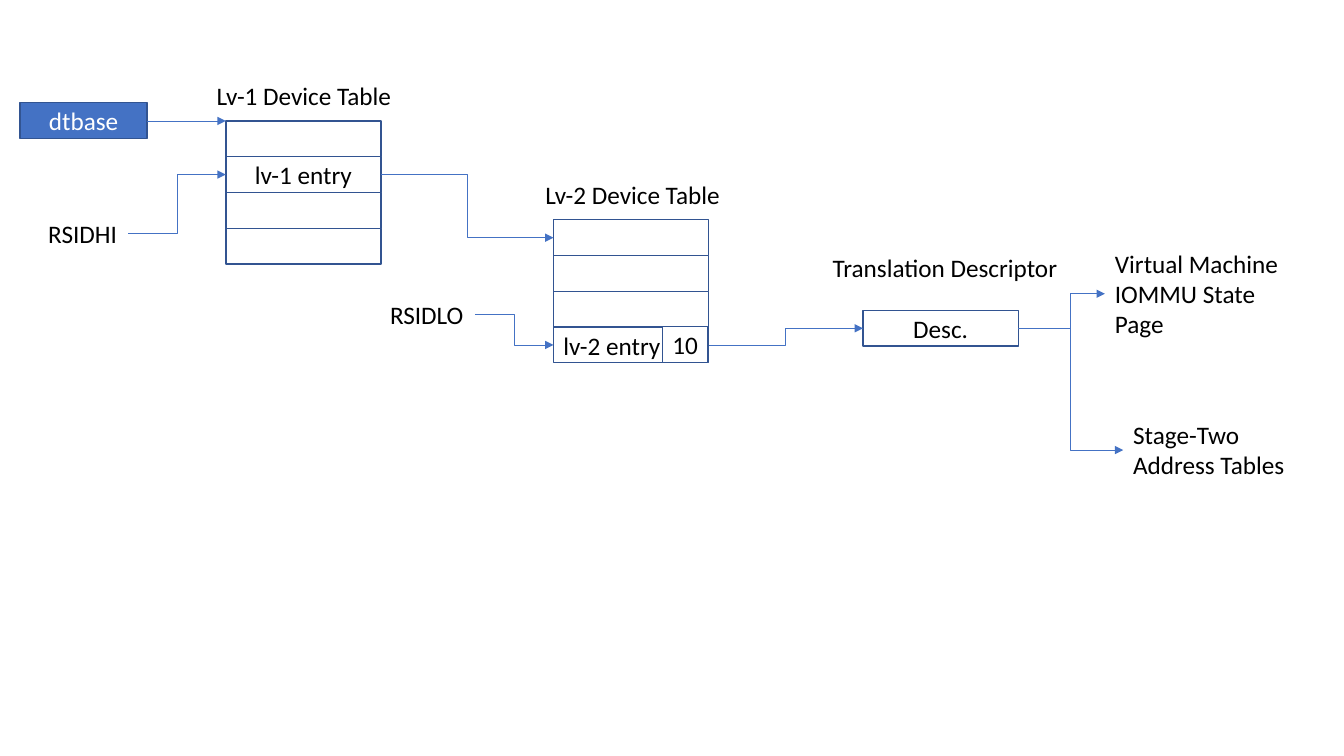
from lxml import etree
from pptx import Presentation
from pptx.dml.color import RGBColor
from pptx.enum import shapes, text
from pptx.oxml import ns
from pptx.util import Inches, Pt

ROW_WIDTH, ROW_HEIGHT = 1.54, 0.355
LEFT_SITE, RIGHT_SITE = 1, 3


def color(hex_string):
    return RGBColor.from_string(hex_string)


class Diagram:
    FONT = {"name": "Calibri", "size": Pt(18)}
    BLUE, EDGE, WHITE, BLACK = "4472C4", "325491", "FFFFFF", "000000"

    def __init__(self, slide):
        self.slide = slide

    def add_words(self, shape, words, hex_string, align, frame_format):
        frame = shape.text_frame
        for name, value in frame_format.items():
            setattr(frame, name, value)
        paragraph = frame.paragraphs[0]
        paragraph.alignment = align
        run = paragraph.add_run()
        run.text = words
        for name, value in self.FONT.items():
            setattr(run.font, name, value)
        run.font.color.rgb = color(hex_string)

    def box(self, left, top, words="", width=ROW_WIDTH, fill=WHITE,
            ink=BLACK, align=text.PP_ALIGN.CENTER):
        shape = self.slide.shapes.add_shape(
            shapes.MSO_SHAPE.RECTANGLE, Inches(left), Inches(top),
            Inches(width), Inches(ROW_HEIGHT))
        shape.shadow.inherit = False
        shape.fill.solid()
        shape.fill.fore_color.rgb = color(fill)
        shape.line.color.rgb = color(self.EDGE)
        shape.line.width = Pt(1)
        if words:
            self.add_words(shape, words, ink, align,
                           {"vertical_anchor": text.MSO_ANCHOR.MIDDLE})
        return shape

    def label(self, left, top, width, height, words, wrap=False):
        shape = self.slide.shapes.add_textbox(
            Inches(left), Inches(top), Inches(width), Inches(height))
        self.add_words(shape, words, self.BLACK, text.PP_ALIGN.LEFT,
                       {"word_wrap": wrap,
                        "auto_size": text.MSO_AUTO_SIZE.SHAPE_TO_FIT_TEXT})
        return shape

    def table(self, left, top, entries, title, title_left, title_top):
        rows = [self.box(left, top + index * ROW_HEIGHT, words, align=align)
                for index, (words, align) in enumerate(entries)]
        heading = self.label(title_left, title_top, 1.96, 0.4, title)
        self.slide.shapes.add_group_shape(rows + [heading])
        return rows

    def arrow(self, start, end, kind=shapes.MSO_CONNECTOR.ELBOW, bend=None):
        connector = self.slide.shapes.add_connector(kind, *start, *end)
        connector.line.color.rgb = color(self.BLUE)
        connector.line.width = Pt(0.5)
        properties = connector._element.spPr.find(ns.qn("a:ln"))
        etree.SubElement(properties, ns.qn("a:tailEnd"), type="triangle")
        etree.SubElement(connector._element.spPr, ns.qn("a:effectLst"))
        if bend is not None:
            guides = connector._element.spPr.find(".//" + ns.qn("a:avLst"))
            etree.SubElement(guides, ns.qn("a:gd"), name="adj1",
                             fmla=f"val {round(bend * 100000)}")
        return connector

    def link(self, source, target, bend=None):
        start = (source.left + source.width, source.top + source.height // 2)
        end = (target.left, target.top + target.height // 2)
        connector = self.arrow(start, end, bend=bend)
        connector.begin_connect(source, RIGHT_SITE)
        connector.end_connect(target, LEFT_SITE)


presentation = Presentation()
presentation.slide_width = Inches(13.33)
presentation.slide_height = Inches(7.5)
diagram = Diagram(presentation.slides.add_slide(presentation.slide_layouts[6]))

# Device tables
CENTER, LEFT = text.PP_ALIGN.CENTER, text.PP_ALIGN.LEFT
EMPTY = ("", CENTER)
level_one = diagram.table(
    2.24, 1.2, [EMPTY, ("lv-1 entry", CENTER), EMPTY, EMPTY],
    "Lv-1 Device Table", 2.05, 0.75)
level_two = diagram.table(
    5.49, 2.18, [EMPTY, EMPTY, EMPTY, ("lv-2 entry", LEFT)],
    "Lv-2 Device Table", 5.31, 1.73)
diagram.box(6.57, 3.24, "10", width=0.45)

# Base register and index labels
base = diagram.box(0.2, 1.02, "dtbase", width=1.26,
                   fill=Diagram.BLUE, ink=Diagram.WHITE)
high_index = diagram.label(0.38, 2.12, 0.89, 0.4, "RSIDHI")
low_index = diagram.label(3.77, 2.92, 0.94, 0.4, "RSIDLO")

# Translation descriptor and its targets
descriptor = diagram.box(8.56, 3.08, "Desc.")
heading = diagram.label(8.16, 2.45, 2.46, 0.4, "Translation Descriptor", True)
diagram.slide.shapes.add_group_shape([descriptor, heading])
state_page = diagram.label(10.96, 2.41, 2.03, 1.01,
                           "Virtual Machine IOMMU State Page", True)
address_tables = diagram.label(11.14, 4.11, 2.03, 0.71,
                               "Stage-Two Address Tables", True)

# Arrows
table_top = level_one[0].top
diagram.arrow((base.left + base.width, table_top),
              (level_one[0].left, table_top), shapes.MSO_CONNECTOR.STRAIGHT)
for source, target, bend in [
        (high_index, level_one[1], None),
        (level_one[1], level_two[0], None),
        (low_index, level_two[3], None),
        (level_two[3], descriptor, None),
        (descriptor, address_tables, None),
        (descriptor, state_page, 0.6)]:
    diagram.link(source, target, bend)

presentation.save("out.pptx")
